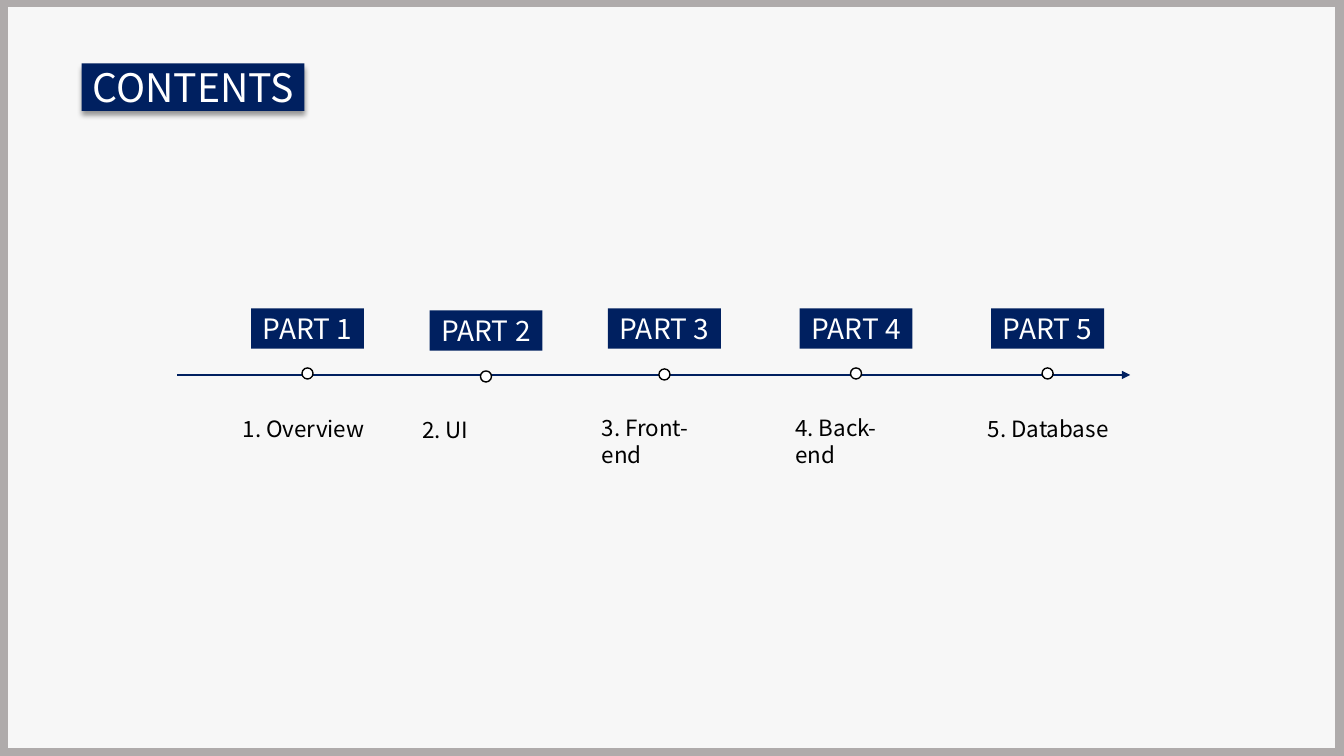
from lxml import etree
from pptx import Presentation
from pptx.dml.color import RGBColor
from pptx.enum.shapes import MSO_CONNECTOR, MSO_SHAPE
from pptx.enum.text import MSO_ANCHOR, PP_ALIGN
from pptx.oxml import parse_xml
from pptx.oxml.ns import nsdecls, qn
from pptx.util import Inches, Pt

RECT = MSO_SHAPE.RECTANGLE
OVAL = MSO_SHAPE.OVAL
LINE = MSO_CONNECTOR.STRAIGHT
MIDDLE = MSO_ANCHOR.MIDDLE
CENTER = PP_ALIGN.CENTER

FONT = "Noto Sans CJK KR"
COLORS = {
    "frame": "AFABAB",
    "paper": "F7F7F7",
    "navy": "002060",
    "white": "FFFFFF",
    "black": "000000",
}
TAG_W = 1.12
DOT = 0.11
# label, tag left, tag top, dot top, note left, note top, note width
PARTS = [
    ("Overview", 2.49, 3.06, 3.65, 2.31, 4.07, 1.43),
    ("UI", 4.26, 3.08, 3.68, 4.09, 4.08, 0.8),
    ("Front-end", 6.03, 3.06, 3.66, 5.87, 4.06, 1.35),
    ("Back-end", 7.93, 3.06, 3.65, 7.79, 4.06, 1.3),
    ("Database", 9.83, 3.06, 3.65, 9.7, 4.07, 1.43),
]


def color(name):
    return RGBColor.from_string(COLORS[name])


def box(slide, kind, left, top, width, height, fill, edge=None):
    shape = slide.shapes.add_shape(
        kind, Inches(left), Inches(top), Inches(width), Inches(height))
    shape.shadow.inherit = False
    shape.fill.solid()
    shape.fill.fore_color.rgb = color(fill)
    if edge:
        shape.line.color.rgb = color(edge)
        shape.line.width = Pt(1)
    else:
        shape.line.fill.background()
    return shape


def write(shape, text, size, ink):
    para = shape.text_frame.paragraphs[0]
    para.text = text
    para.font.name = FONT
    para.font.size = Pt(size)
    para.font.color.rgb = color(ink)
    return para


def tag(slide, text, left, top, width, height, size):
    shape = box(slide, RECT, left, top, width, height, "navy")
    shape.text_frame.word_wrap = False
    shape.text_frame.vertical_anchor = MIDDLE
    write(shape, text, size, "white").alignment = CENTER
    return shape


def note(slide, text, left, top, width):
    shape = slide.shapes.add_textbox(
        Inches(left), Inches(top), Inches(width), Inches(0.37))
    shape.text_frame.word_wrap = True
    write(shape, text, 16, "black")


def shade(shape):
    effects = shape._element.spPr.find(qn("a:effectLst"))
    effects.append(parse_xml(
        f'<a:outerShdw {nsdecls("a")} blurRad="{Pt(4)}" dist="{Pt(3)}" '
        'dir="5400000" algn="t" rotWithShape="0">'
        f'<a:srgbClr val="{COLORS["black"]}"><a:alpha val="40000"/>'
        '</a:srgbClr></a:outerShdw>'))


def arrow(slide, left, right, y):
    line = slide.shapes.add_connector(
        LINE, Inches(left), Inches(y), Inches(right), Inches(y))
    line.line.color.rgb = color("navy")
    line.line.width = Pt(1.5)
    etree.SubElement(line.line._get_or_add_ln(), qn("a:tailEnd"), type="triangle")
    etree.SubElement(line._element.spPr, qn("a:effectLst"))


def main():
    deck = Presentation()
    deck.slide_width = Inches(13.33)
    deck.slide_height = Inches(7.5)
    slide = deck.slides.add_slide(deck.slide_layouts[6])

    box(slide, RECT, 0, 0, 13.33, 7.5, "frame")
    box(slide, RECT, 0.08, 0.07, 13.16, 7.35, "paper")
    shade(tag(slide, "CONTENTS", 0.81, 0.63, 2.21, 0.47, 28))
    arrow(slide, 1.76, 11.21, 3.72)

    for num, part in enumerate(PARTS, 1):
        label, left, top, dot_top, note_left, note_top, width = part
        tag(slide, f"PART {num}", left, top, TAG_W, 0.4, 20)
        dot_left = left + (TAG_W - DOT) / 2
        box(slide, OVAL, dot_left, dot_top, DOT, DOT, "white", "black")
        note(slide, f"{num}. {label}", note_left, note_top, width)

    deck.save("out.pptx")


if __name__ == "__main__":
    main()
